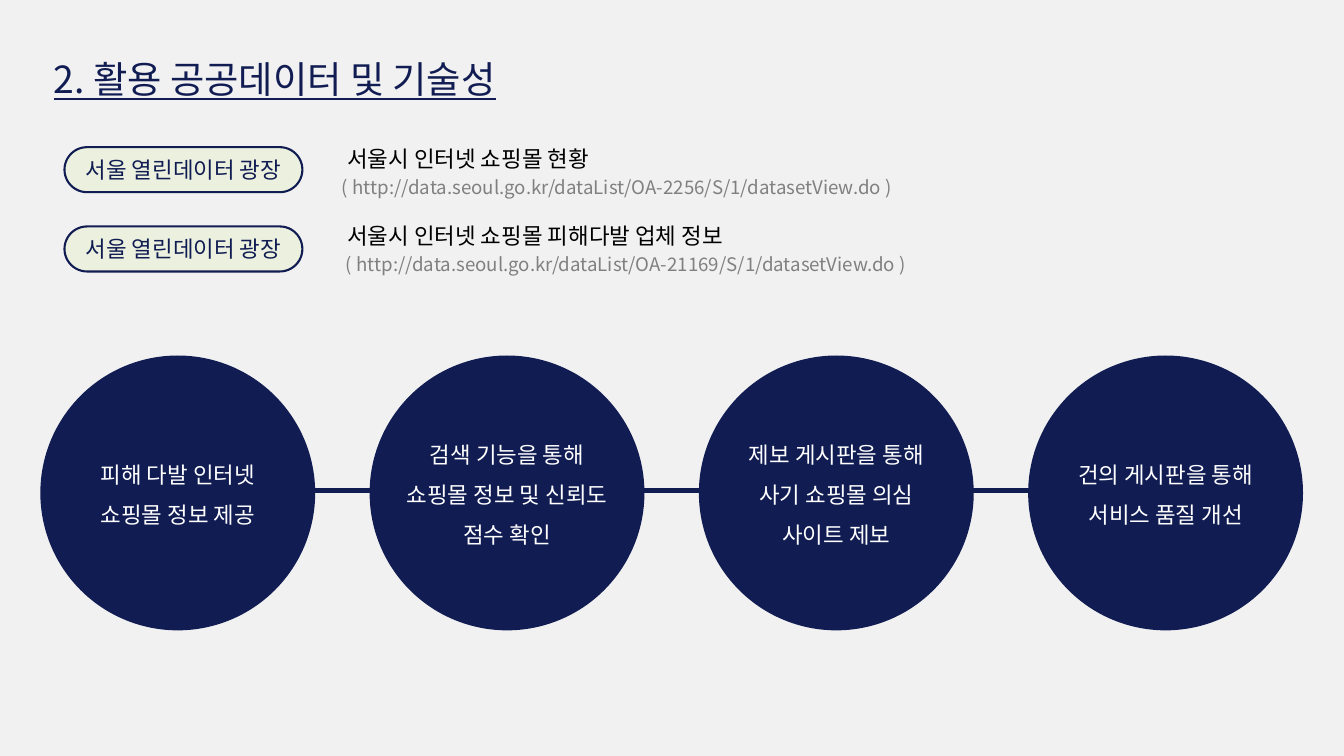
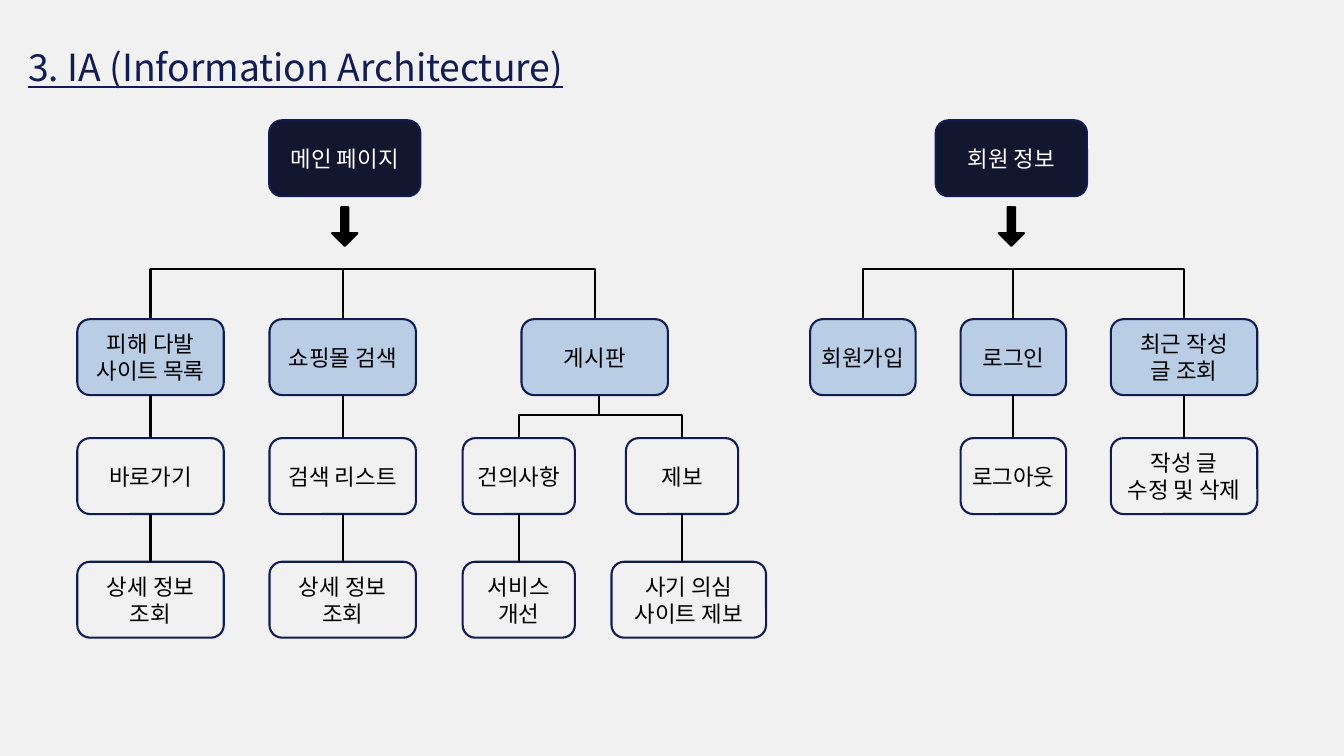
"""Build two slides: public data in use, and the information architecture."""
from lxml import etree
from pptx import Presentation
from pptx.dml.color import RGBColor
from pptx.enum.shapes import MSO_CONNECTOR, MSO_SHAPE
from pptx.enum.text import MSO_ANCHOR, MSO_AUTO_SIZE, PP_ALIGN
from pptx.oxml.ns import qn
from pptx.util import Inches, Pt

STRAIGHT, ELBOW = MSO_CONNECTOR.STRAIGHT, MSO_CONNECTOR.ELBOW
ROUNDED, OVAL, DOWN_ARROW = MSO_SHAPE.ROUNDED_RECTANGLE, MSO_SHAPE.OVAL, MSO_SHAPE.DOWN_ARROW
TOP, MIDDLE = MSO_ANCHOR.TOP, MSO_ANCHOR.MIDDLE
LEFT, CENTER = PP_ALIGN.LEFT, PP_ALIGN.CENTER
GROW = MSO_AUTO_SIZE.SHAPE_TO_FIT_TEXT
SITE_TOP, SITE_BOTTOM = 0, 2

FONT = "Noto Sans CJK KR"
PAPER = RGBColor(0xF1, 0xF1, 0xF1)
NAVY = RGBColor(0x10, 0x1C, 0x52)
MIDNIGHT = RGBColor(0x12, 0x16, 0x2E)
SKY = RGBColor(0xB9, 0xCD, 0xE5)
LIME = RGBColor(0xEB, 0xF1, 0xDE)
GRAY = RGBColor(0x80, 0x80, 0x80)
BLACK = RGBColor(0, 0, 0)
WHITE = RGBColor(0xFF, 0xFF, 0xFF)

DATA_TITLE = ("2. 활용 공공데이터 및 기술성", 0.8, 0.42, 9)
PORTAL = "서울 열린데이터 광장"
DATASETS = [
    ("서울시 인터넷 쇼핑몰 현황",
     "( http://data.seoul.go.kr/dataList/OA-2256/S/1/datasetView.do )", 2.19, 2.11, 4.99),
    ("서울시 인터넷 쇼핑몰 피해다발 업체 정보",
     "( http://data.seoul.go.kr/dataList/OA-21169/S/1/datasetView.do )", 3.37, 3.26, 5.05),
]
FEATURES = [
    ["피해 다발 인터넷 쇼핑몰 정보 제공"],
    ["검색 기능을 통해 쇼핑몰 정보 및 신뢰도 점수 확인"],
    ["제보 게시판을 통해", "사기 쇼핑몰 의심 사이트 제보"],
    ["건의 게시판을 통해", "서비스 품질 개선"],
]
CIRCLE_LEFT, CIRCLE_TOP, CIRCLE_SIZE, CIRCLE_PITCH = 0.6, 5.29, 4.09, 4.9
FEATURE_WIDTH, FEATURE_TOP, FEATURE_HEIGHT = 3.32, 5.53, 3.46

TREE_TITLE = ("3. IA (Information Architecture)", 0.42, 0.24, 12.32)
ROOTS = [("메인 페이지", 5.13), ("회원 정보", 15.05)]
ROOT_TOP, ROOT_WIDTH, ARROW_TOP = 1.79, 2.25, 3.08
ROW_TOPS = [4.75, 6.52, 8.36]
NODE_HEIGHT = 1.13
COLUMNS = [
    (2.24, 2.18, 0, [["피해 다발", "사이트 목록"], ["바로가기"], ["상세 정보", "조회"]]),
    (5.1, 2.18, 0, [["쇼핑몰 검색"], ["검색 리스트"], ["상세 정보", "조회"]]),
    (8.85, 2.18, 0, [["게시판"]]),
    (7.72, 1.67, 1, [["건의사항"], ["서비스 개선"]]),
    (10.15, 1.67, 1, [["제보"], ["사기 의심 사이트 제보"]]),
    (12.84, 1.57, 0, [["회원가입"]]),
    (15.08, 1.57, 0, [["로그인"], ["로그아웃"]]),
    (17.62, 2.18, 0, [["최근 작성", "글 조회"], ["작성 글", "수정 및 삭제"]]),
]
WIDE_NODES = {"사기 의심 사이트 제보": (10.25, 2.3)}
BRACKETS = [(2.24, 8.86, 3.99, 0), (12.84, 17.62, 3.99, 0), (7.72, 10.15, 6.16, 1)]
STEMS = {"쇼핑몰 검색": 3.99, "로그인": 3.99}
BOARD_STUB = (8.92, 5.88, 6.16)
BRACKET_THICKNESS = 0.01


def write(shape, lines, size, color, align=LEFT, anchor=TOP, spacing=None, inset=None, underline=None):
    """Fill a shape with one paragraph per line."""
    frame = shape.text_frame
    frame.word_wrap = True
    frame.vertical_anchor = anchor
    if inset is not None:
        frame.margin_left = frame.margin_right = Inches(inset)
        frame.margin_top = frame.margin_bottom = Inches(inset)
    frame.text = "\n".join(lines)
    for para in frame.paragraphs:
        para.alignment = align
        para.line_spacing = spacing
        font = para.font
        font.name, font.size, font.underline = FONT, Pt(size), underline
        font.color.rgb = color
        defaults = para._p.pPr.find(qn("a:defRPr"))
        etree.SubElement(defaults, qn("a:ea"), typeface=FONT)


def add_page(deck, title, left, top, width):
    """Add a page with the shared background and title style."""
    page = deck.slides.add_slide(deck.slide_layouts[5])
    page.background.fill.solid()
    page.background.fill.fore_color.rgb = PAPER
    box = page.shapes.title
    box.left, box.top, box.width, box.height = (Inches(v) for v in (left, top, width, 1))
    write(box, [title], 40, NAVY, spacing=Pt(78), inset=0, underline=True)
    box.text_frame.auto_size = GROW
    return page


def add_text(page, left, top, width, height, lines, size, color, **style):
    """Add a wrapped text box."""
    box = page.shapes.add_textbox(*(Inches(v) for v in (left, top, width, height)))
    write(box, lines, size, color, **style)
    return box


def add_block(page, kind, left, top, width, height, fill=None, line=None, weight=2.25):
    """Add a flat preset shape."""
    shape = page.shapes.add_shape(kind, *(Inches(v) for v in (left, top, width, height)))
    shape.shadow.inherit = False
    if fill is None:
        shape.fill.background()
    else:
        shape.fill.solid()
        shape.fill.fore_color.rgb = fill
    if line is None:
        shape.line.fill.background()
    else:
        shape.line.color.rgb = line
        shape.line.width = Pt(weight)
    return shape


def add_line(page, x1, y1, x2, y2, color=BLACK, weight=2.25, kind=STRAIGHT):
    """Add a connector without a shadow."""
    line = page.shapes.add_connector(kind, *(Inches(v) for v in (x1, y1, x2, y2)))
    line.line.color.rgb = color
    line.line.width = Pt(weight)
    etree.SubElement(line._element.spPr, qn("a:effectLst"))
    return line


def add_bracket(page, left, right, bar, row):
    """Join two column centres by a bar above a row."""
    center, half_span = (left + right) / 2, (right - left) / 2
    base, half = ROW_TOPS[row], BRACKET_THICKNESS / 2
    bracket = add_line(page, center + half, base + half_span, center - half, base - half_span, kind=ELBOW)
    properties = bracket._element.spPr
    properties.find(qn("a:xfrm")).set("rot", "5400000")
    guides = properties.find(qn("a:prstGeom")).get_or_add_avLst()
    depth = round((base - bar) / BRACKET_THICKNESS * 100000)
    etree.SubElement(guides, qn("a:gd"), name="adj1", fmla=f"val {depth}")


def add_node(page, center, top, width, lines, fill=None, color=BLACK):
    """Add a labelled node centred on its column."""
    node = add_block(page, ROUNDED, center - width / 2, top, width, NODE_HEIGHT, fill, NAVY)
    write(node, lines, 24, color, CENTER, MIDDLE)
    return node


def build_data_page(deck):
    """Show the data sets and the chain of features."""
    page = add_page(deck, *DATA_TITLE)
    add_line(page, 2.4, 7.3, 19.18, 7.3, NAVY, 5.25)
    for name, address, pill_top, name_top, address_left in DATASETS:
        pill = add_block(page, ROUNDED, 0.96, pill_top, 3.54, 0.67, LIME, NAVY)
        pill.adjustments[0] = 0.5
        write(pill, [PORTAL], 24, NAVY, CENTER, MIDDLE)
        for left, top, height, text, size, color in (
                (5.07, name_top, 0.5, name, 24, BLACK),
                (address_left, name_top + 0.46, 0.44, address, 20, GRAY)):
            box = add_text(page, left, top, 12.3, height, [text], size, color)
            box.text_frame.auto_size = GROW
    for index, lines in enumerate(FEATURES):
        left = CIRCLE_LEFT + index * CIRCLE_PITCH
        add_block(page, OVAL, left, CIRCLE_TOP, CIRCLE_SIZE, CIRCLE_SIZE, NAVY)
        text_left = left + (CIRCLE_SIZE - FEATURE_WIDTH) / 2
        add_text(page, text_left, FEATURE_TOP, FEATURE_WIDTH, FEATURE_HEIGHT, lines, 24, WHITE,
                 align=CENTER, anchor=MIDDLE, spacing=1.5, inset=0.06)


def build_tree_page(deck):
    """Show the two page trees."""
    page = add_page(deck, *TREE_TITLE)
    for label, center in ROOTS:
        add_node(page, center, ROOT_TOP, ROOT_WIDTH, [label], MIDNIGHT, WHITE)
        arrow = add_block(page, DOWN_ARROW, center - 0.19, ARROW_TOP, 0.38, 0.58, BLACK, BLACK, 2)
        arrow.adjustments[0] = 0.295
    for bracket in BRACKETS:
        add_bracket(page, *bracket)
    stub_x, stub_top, stub_bottom = BOARD_STUB
    add_line(page, stub_x, stub_top, stub_x, stub_bottom)
    for column, column_width, first_row, labels in COLUMNS:
        parent = None
        for row, lines in enumerate(labels, first_row):
            center, width = WIDE_NODES.get(lines[0], (column, column_width))
            top = ROW_TOPS[row]
            node = add_node(page, center, top, width, lines, None if row else SKY)
            if parent is not None:
                link = add_line(page, column, ROW_TOPS[row - 1] + NODE_HEIGHT, column, top)
                link.begin_connect(parent, SITE_BOTTOM)
                if center == column:
                    link.end_connect(node, SITE_TOP)
            elif lines[0] in STEMS:
                stem = add_line(page, column, STEMS[lines[0]], column, top)
                stem.end_connect(node, SITE_TOP)
            parent = node


def main():
    """Build and save the deck."""
    deck = Presentation()
    deck.slide_width, deck.slide_height = Inches(20), Inches(11.25)
    build_data_page(deck)
    build_tree_page(deck)
    deck.save("out.pptx")


if __name__ == "__main__":
    main()
